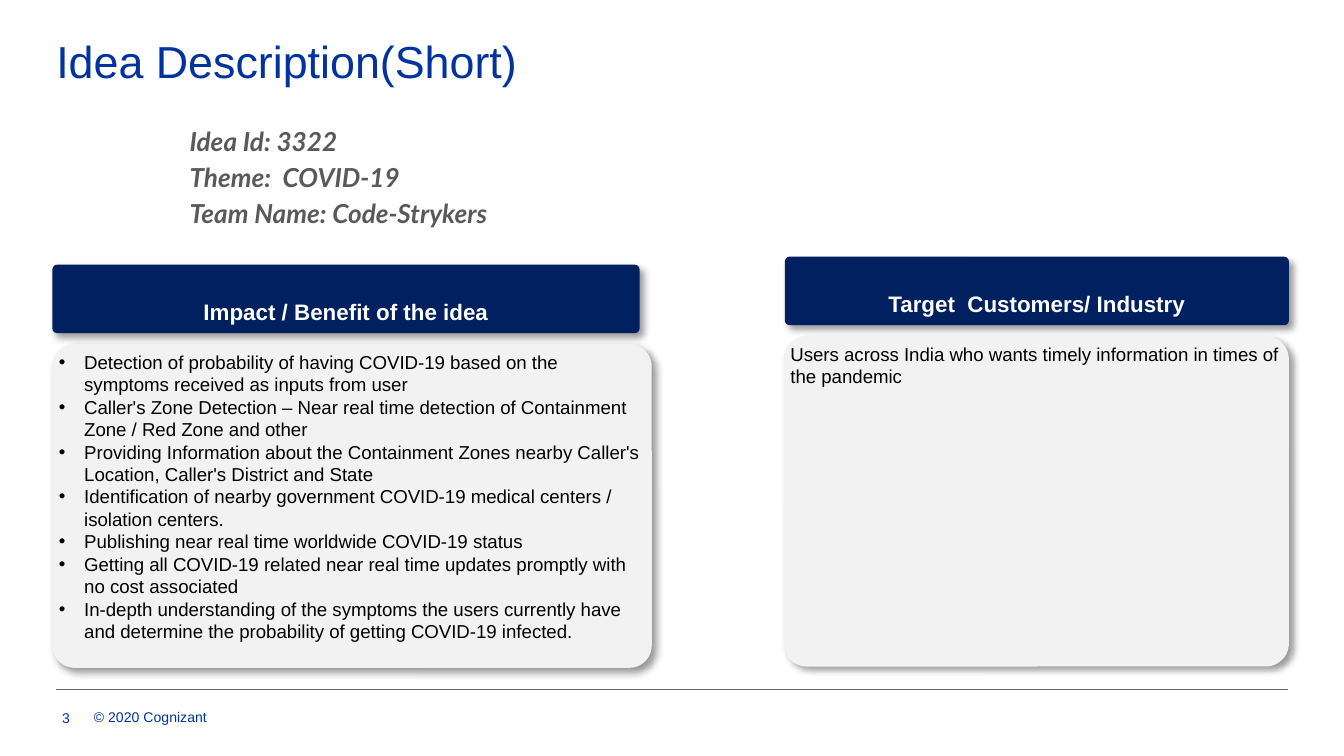
from lxml import etree
from pptx import Presentation
from pptx.dml.color import RGBColor
from pptx.enum import shapes, text
from pptx.oxml import ns
from pptx.util import Pt

BLUE = RGBColor(0x00, 0x33, 0xA0)
NAVY = RGBColor(0x00, 0x20, 0x60)
PANEL = RGBColor(0xF2, 0xF2, 0xF2)
GRAY = RGBColor(0x59, 0x59, 0x59)
RULE = RGBColor(0x63, 0x66, 0x6A)
WHITE = RGBColor(0xFF, 0xFF, 0xFF)
BLACK = RGBColor(0x00, 0x00, 0x00)

TITLE = "Idea Description(Short)"
DETAILS = ["Idea Id: 3322", "Theme:  COVID-19", "Team Name: Code-Strykers"]
BENEFITS = [
    "Detection of probability of having COVID-19 based on the symptoms received as inputs from user",
    "Caller's Zone Detection – Near real time detection of Containment Zone / Red Zone and other",
    "Providing Information about the Containment Zones nearby Caller's Location, Caller's District and State",
    "Identification of nearby government COVID-19 medical centers / isolation centers.",
    "Publishing near real time worldwide COVID-19 status",
    "Getting all COVID-19 related near real time updates promptly with no cost associated",
    "In-depth understanding of the symptoms the users currently have and determine the probability of getting COVID-19 infected.",
]
CUSTOMERS = ["Users across India who wants timely information in times of the pandemic"]
COLUMNS = [
    dict(heading="Impact / Benefit of the idea", items=BENEFITS, bullet="•",
         head=(28.1, 141.8, 314.6, 36.7), body=(28.1, 184.3, 321.1, 173.5)),
    dict(heading="Target  Customers/ Industry", items=CUSTOMERS, bullet=None,
         head=(420.5, 137.5, 270, 36.7), body=(419.8, 180, 270.7, 177.1)),
]
FOOTER = [
    ("© 2020 Cognizant", (43.2, 375.8, 141.8, 16.6), "LEFT", "TOP"),
    ("3", (15.8, 373.7, 28.8, 21.6), "RIGHT", "MIDDLE"),
]


def write(shape, lines, size, color, font="Arial", bold=False, italic=False,
          align="LEFT", anchor="TOP", insets=(0, 0, 0, 0), bullet=None,
          after=0, spacing=1.0):
    tf = shape.text_frame
    tf.word_wrap = True
    tf.vertical_anchor = text.MSO_ANCHOR[anchor]
    tf.margin_left, tf.margin_top, tf.margin_right, tf.margin_bottom = map(Pt, insets)
    for i, line in enumerate(lines):
        p = tf.add_paragraph() if i else tf.paragraphs[0]
        if bullet:
            pPr = p._p.get_or_add_pPr()
            pPr.set("marL", str(Pt(13.5)))
            pPr.set("indent", str(-Pt(13.5)))
            etree.SubElement(pPr, ns.qn("a:buFont"), typeface="Arial")
            etree.SubElement(pPr, ns.qn("a:buChar"), char=bullet)
        p.alignment = text.PP_ALIGN[align]
        p.line_spacing = spacing
        p.space_after = Pt(after)
        r = p.add_run()
        r.text = line
        r.font.name, r.font.size = font, Pt(size)
        r.font.bold, r.font.italic = bold, italic
        r.font.color.rgb = color


def add_box(s, box):
    return s.shapes.add_textbox(*map(Pt, box))


def add_card(s, box, fill):
    sp = s.shapes.add_shape(shapes.MSO_SHAPE.ROUNDED_RECTANGLE, *map(Pt, box))
    sp.adjustments[0] = 0.07
    sp.fill.solid()
    sp.fill.fore_color.rgb = fill
    sp.line.fill.background()
    sp.shadow.inherit = False
    effects = sp._element.spPr.find(ns.qn("a:effectLst"))
    shadow = etree.SubElement(effects, ns.qn("a:outerShdw"), blurRad=str(Pt(4)),
                              dist=str(Pt(3)), dir=str(45 * 60000),
                              algn="tl", rotWithShape="0")
    color = etree.SubElement(shadow, ns.qn("a:srgbClr"), val=str(BLACK))
    etree.SubElement(color, ns.qn("a:alpha"), val="40000")
    return sp


def add_rule(s, left, right, y):
    line = s.shapes.add_connector(shapes.MSO_CONNECTOR.STRAIGHT,
                                  Pt(left), Pt(y), Pt(right), Pt(y))
    line.line.color.rgb = RULE
    line.line.width = Pt(0.5)
    etree.SubElement(line._element.spPr, ns.qn("a:effectLst"))


def main():
    prs = Presentation()
    prs.slide_width, prs.slide_height = Pt(720), Pt(405)
    s = prs.slides.add_slide(prs.slide_layouts[6])

    add_rule(s, 30.2, 689.8, 369.4)
    for line, box, align, anchor in FOOTER:
        write(add_box(s, box), [line], 7.5, BLUE, align=align, anchor=anchor,
              insets=(7.2, 3.6, 7.2, 3.6))
    write(add_box(s, (30.2, 21.6, 660.2, 31)), [TITLE], 24, BLUE, spacing=0.9)
    write(add_box(s, (88.6, 63.4, 616.3, 61.9)), DETAILS, 14, GRAY, font="Lato",
          bold=True, italic=True, insets=(13, 3.6, 7.2, 3.6), after=2.6)

    for column in COLUMNS:
        write(add_card(s, column["head"], NAVY), [column["heading"]], 12, WHITE,
              bold=True, align="CENTER", anchor="MIDDLE", insets=(0, 13, 0, 0))
        write(add_card(s, column["body"], PANEL), column["items"], 10, BLACK,
              bullet=column["bullet"])

    prs.save("out.pptx")


if __name__ == "__main__":
    main()
